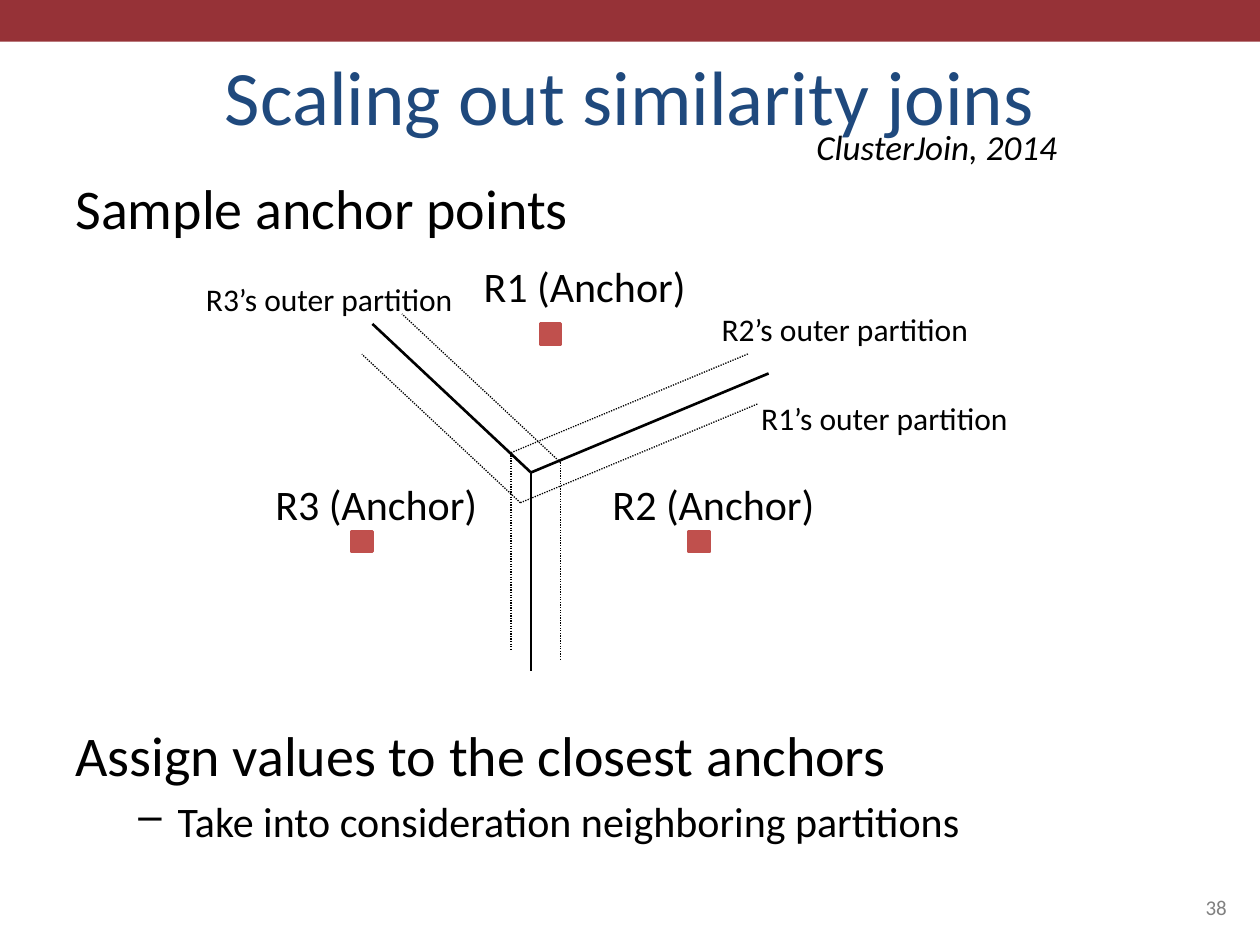
from lxml import etree
from pptx import Presentation
from pptx.dml.color import RGBColor
from pptx.enum.dml import MSO_LINE
from pptx.enum.shapes import MSO_CONNECTOR, MSO_SHAPE
from pptx.enum.text import MSO_ANCHOR as ANCHOR, PP_ALIGN as ALIGN
from pptx.oxml.ns import qn
from pptx.util import Pt

FONT = "Calibri"
BLACK = RGBColor(0x00, 0x00, 0x00)
GRAY = RGBColor(0x80, 0x80, 0x80)
NAVY = RGBColor(0x1F, 0x49, 0x7D)
MAROON = RGBColor(0x96, 0x32, 0x37)
RED = RGBColor(0xC0, 0x50, 0x4D)

SLIDE_W, SLIDE_H, BAND_H = 720, 540, 23.8

# text, size, space before, bullet
BODY = [
    ("Sample anchor points", 32, 0, None),
    ("Assign values to the closest anchors", 32, 274, None),
    ("Take into consideration neighboring partitions", 24, 4.5, "–"),
]

# Borders between partitions: three arms leaving the center
CENTER = (303.4, 270)
ARMS = {"down": (0, 113.2), "right": (135.8, -56.6), "left": (-90.6, -84.9)}
# Each outer partition repeats two of the arms from its own corner
OUTER_CORNERS = [
    ((297.4, 287.3), ("right", "left")),
    ((292, 258.7), ("down", "right")),
    ((320.3, 264.3), ("down", "left")),
]

# name, label left and top, marker left and top
ANCHORS = [
    ("R1", (269.3, 145.4), (308.9, 185)),
    ("R2", (342.9, 270), (393.8, 303.8)),
    ("R3", (150.2, 270), (201.3, 303.8)),
]
ANCHOR_LABEL_SIZE = (131, 36)
MARKER = 11.5

OUTER_LABELS = [("R1", 427.9, 224.4), ("R2", 405.2, 173.5), ("R3", 110.6, 156.7)]
OUTER_LABEL_SIZE = (157, 29)


def add_run(p, text, size, color=BLACK, italic=False):
    r = p.add_run()
    r.text = text
    r.font.name = FONT
    r.font.size = Pt(size)
    r.font.color.rgb = color
    r.font.italic = italic


def add_text(slide, box, text, size, color=BLACK, italic=False,
             align=ALIGN.LEFT, anchor=ANCHOR.TOP, wrap=False):
    tf = slide.shapes.add_textbox(*map(Pt, box)).text_frame
    tf.word_wrap = wrap
    tf.vertical_anchor = anchor
    p = tf.paragraphs[0]
    p.alignment = align
    add_run(p, text, size, color, italic)


def add_block(slide, kind, box, color, line_width=None):
    sp = slide.shapes.add_shape(kind, *map(Pt, box))
    sp.shadow.inherit = False
    sp.fill.solid()
    sp.fill.fore_color.rgb = color
    if line_width:
        sp.line.color.rgb = color
        sp.line.width = Pt(line_width)
    else:
        sp.line.fill.background()


def add_arm(slide, start, arm, width, dash=None):
    (x, y), (dx, dy) = start, ARMS[arm]
    line = slide.shapes.add_connector(
        MSO_CONNECTOR.STRAIGHT, Pt(x), Pt(y), Pt(x + dx), Pt(y + dy))
    line.line.color.rgb = BLACK
    line.line.width = Pt(width)
    if dash:
        line.line.dash_style = dash
    etree.SubElement(line._element.spPr, qn("a:effectLst"))


def set_bullet(p, char, left, hanging):
    pPr = p._p.get_or_add_pPr()
    pPr.set("marL", str(Pt(left)))
    pPr.set("indent", str(-Pt(hanging)))
    etree.SubElement(pPr, qn("a:buChar")).set("char", char)


def add_body(slide):
    tf = slide.shapes.add_textbox(Pt(36), Pt(95.8), Pt(648), Pt(386.6)).text_frame
    tf.word_wrap = True
    for i, (text, size, before, bullet) in enumerate(BODY):
        p = tf.add_paragraph() if i else tf.paragraphs[0]
        p.space_before = Pt(before)
        if bullet:
            set_bullet(p, bullet, 58.5, 22.5)
        add_run(p, text, size)


def add_diagram(slide):
    for arm in ARMS:
        add_arm(slide, CENTER, arm, 1.5)
    for name, label, marker in ANCHORS:
        add_block(slide, MSO_SHAPE.FLOWCHART_PROCESS,
                  (*marker, MARKER, MARKER), RED, 2)
        add_text(slide, (*label, *ANCHOR_LABEL_SIZE), f"{name} (Anchor)", 24)
    for corner, arms in OUTER_CORNERS:
        for arm in arms:
            add_arm(slide, corner, arm, 0.75, MSO_LINE.ROUND_DOT)
    for name, x, y in OUTER_LABELS:
        add_text(slide, (x, y, *OUTER_LABEL_SIZE), f"{name}’s outer partition", 18)


def main():
    prs = Presentation()
    prs.slide_width, prs.slide_height = Pt(SLIDE_W), Pt(SLIDE_H)
    slide = prs.slides.add_slide(prs.slide_layouts[6])
    add_block(slide, MSO_SHAPE.RECTANGLE, (0, 0, SLIDE_W, BAND_H), MAROON)
    add_text(slide, (36, 21.6, 648, 62.6), "Scaling out similarity joins", 44, NAVY,
             align=ALIGN.CENTER, anchor=ANCHOR.BOTTOM, wrap=True)
    add_body(slide)
    add_text(slide, (516, 491.8, 192.2, 37.4), "38", 12, GRAY,
             align=ALIGN.RIGHT, anchor=ANCHOR.BOTTOM, wrap=True)
    add_diagram(slide)
    add_text(slide, (459.4, 68.4, 154.8, 31.7), "ClusterJoin, 2014", 20, italic=True)
    prs.save("out.pptx")


if __name__ == "__main__":
    main()
